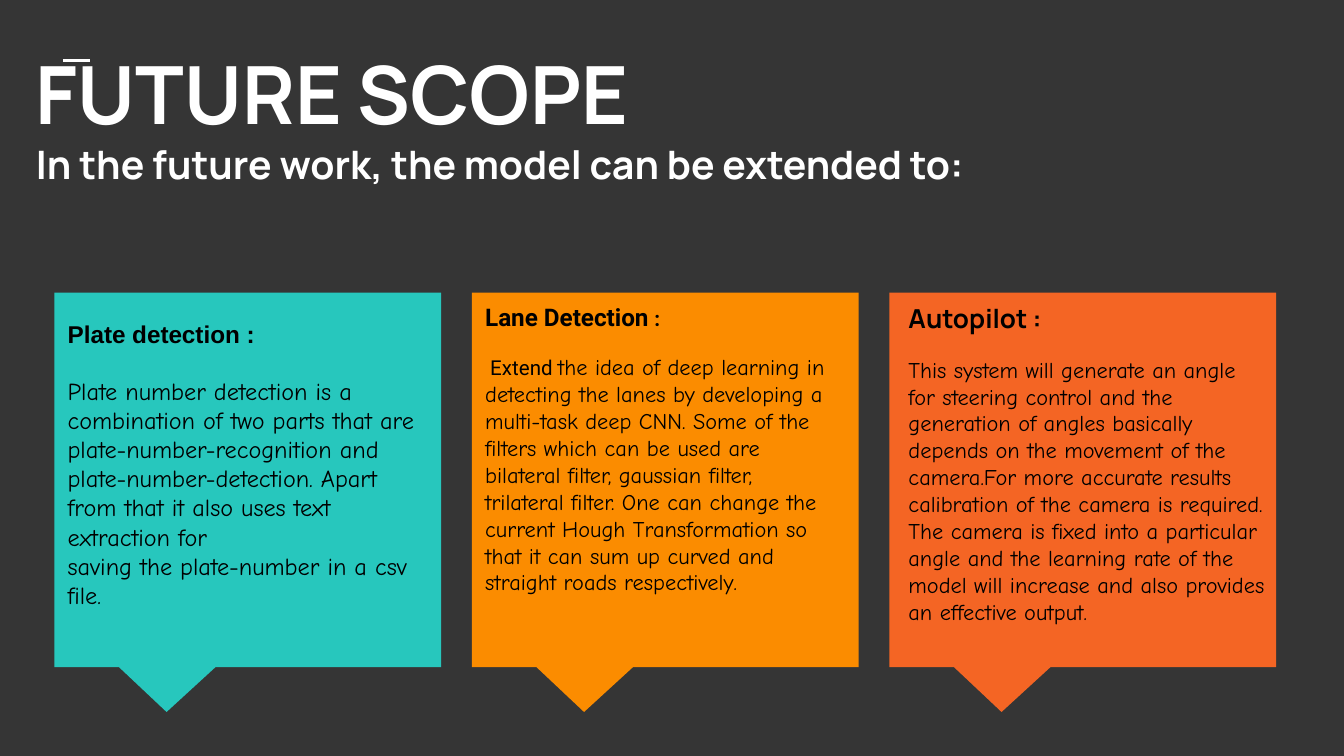
"""Build the "Future scope" slide: a title over three coloured callouts."""
from lxml import etree
from pptx import Presentation
from pptx.dml.color import RGBColor
from pptx.enum.shapes import MSO_CONNECTOR, MSO_SHAPE
from pptx.enum.text import MSO_ANCHOR, MSO_AUTO_SIZE, PP_ALIGN
from pptx.oxml.ns import qn
from pptx.util import Cm, Pt

STRAIGHT = MSO_CONNECTOR.STRAIGHT
CALLOUT = MSO_SHAPE.RECTANGULAR_CALLOUT
TOP = MSO_ANCHOR.TOP
NO_FIT = MSO_AUTO_SIZE.NONE
LEFT = PP_ALIGN.LEFT

THEME = {
    "back": "353535", "light": "FFFFFF", "dark": "000000",
    "teal": "27C7BD", "amber": "FB8C00", "orange": "F46524",
    "display": "Manrope", "body": "Comic Neue", "plain": "Arial", "label": "Roboto",
    "title": 43, "subtitle": 21, "large": 14, "medium": 13, "small": 12, "tiny": 11,
}

TITLE = [("FUTURE SCOPE", "title"),
         ("In the future work, the model can be extended to:", "subtitle")]

CARDS = [
    {"fill": "teal", "insets": (0.25, 0.5, 0.25), "gap": 15, "paragraphs": [
        [("Plate detection :", "plain", "medium", True)],
        [("Plate number detection is a combination of two parts that are",
          "body", "medium", False)],
        [("plate-number-recognition and plate-number-detection. Apart from that "
          "it also uses text extraction for", "body", "medium", False)],
        [("saving the plate-number in a csv file.", "body", "medium", False)],
    ]},
    {"fill": "amber", "insets": (0.25, 0.18, 0.46), "gap": 12, "paragraphs": [
        [("Lane Detection ", "label", "medium", True), (":", "label", "tiny", True)],
        [(" Extend ", "label", "tiny", False),
         ("the idea of deep learning in detecting the lanes by developing a "
          "multi-task deep CNN. Some of the filters which can be used are bilateral "
          "filter, gaussian filter, trilateral filter. One can change the current "
          "Hough Transformation so that it can sum up curved and straight roads "
          "respectively.", "body", "small", False)],
    ]},
    {"fill": "orange", "insets": (0.36, 0.18, 0.15), "gap": 12, "paragraphs": [
        [("Autopilot :", "display", "large", True)],
        [("This system will generate an angle for steering control and the "
          "generation of angles basically depends on the movement of the camera."
          "For more accurate results calibration of the camera is required. The "
          "camera is fixed into a particular angle and the learning rate of the "
          "model will increase and also provides an effective output.",
          "body", "small", False)],
    ]},
]

CARD_LEFT, CARD_TOP, CARD_WIDTH, CARD_HEIGHT, CARD_STEP = 1.03, 5.53, 7.31, 7.08, 7.89
POINTER = (-0.21, 0.62)


def color(name):
    return RGBColor.from_string(THEME[name])


def add_span(para, text, font, size, ink, bold):
    span = para.add_run()
    span.text = text
    span.font.name = THEME[font]
    span.font.size = Pt(THEME[size])
    span.font.bold = bold
    span.font.color.rgb = color(ink)


def prepare_frame(box, left, top, right):
    frame = box.text_frame
    frame.word_wrap = True
    frame.auto_size = NO_FIT
    frame.vertical_anchor = TOP
    frame.margin_left, frame.margin_top, frame.margin_right = Cm(left), Cm(top), Cm(right)
    return frame


def add_para(frame, index, gap=0):
    para = frame.add_paragraph() if index else frame.paragraphs[0]
    para.alignment = LEFT
    para.space_before = Pt(gap)
    return para


def add_title(page):
    box = page.shapes.title
    box.left, box.top, box.width, box.height = Cm(0.43), Cm(0.58), Cm(19.1), Cm(2.21)
    frame = prepare_frame(box, 0.25, 0.25, 0.25)
    for index, (text, size) in enumerate(TITLE):
        add_span(add_para(frame, index), text, "display", size, "light", True)


def add_accent(page):
    accent = page.shapes.add_connector(STRAIGHT, Cm(1.19), Cm(1.14), Cm(1.7), Cm(1.14))
    accent.line.color.rgb = color("light")
    accent.line.width = Pt(1.5)
    etree.SubElement(accent._element.spPr, qn("a:effectLst"))


def add_card(page, position, card):
    box = page.shapes.add_shape(CALLOUT, Cm(CARD_LEFT + position * CARD_STEP),
                                Cm(CARD_TOP), Cm(CARD_WIDTH), Cm(CARD_HEIGHT))
    box.adjustments[0], box.adjustments[1] = POINTER
    box.shadow.inherit = False
    box.fill.solid()
    box.fill.fore_color.rgb = color(card["fill"])
    box.line.fill.background()
    frame = prepare_frame(box, *card["insets"])
    for index, spans in enumerate(card["paragraphs"]):
        para = add_para(frame, index, card["gap"] if index == 1 else 0)
        for text, font, size, bold in spans:
            add_span(para, text, font, size, "dark", bold)


def main():
    deck = Presentation()
    deck.slide_width, deck.slide_height = Cm(25.4), Cm(14.29)
    page = deck.slides.add_slide(deck.slide_layouts.get_by_name("Title Only"))
    page.background.fill.solid()
    page.background.fill.fore_color.rgb = color("back")
    add_accent(page)
    add_title(page)
    for position, card in enumerate(CARDS):
        add_card(page, position, card)
    deck.save("out.pptx")


if __name__ == "__main__":
    main()
